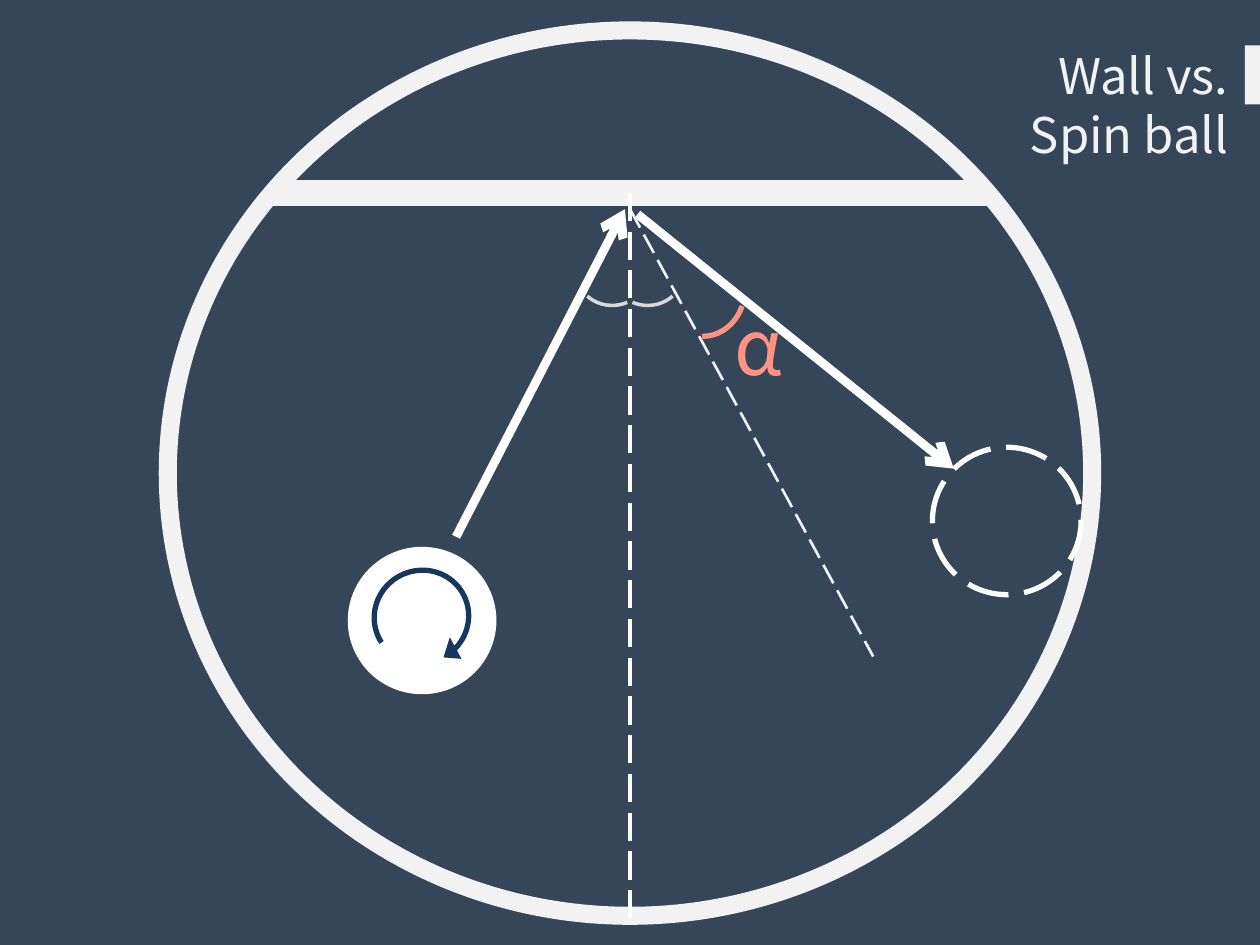
from dataclasses import dataclass

from lxml.etree import SubElement
from pptx import Presentation
from pptx.dml.color import RGBColor
from pptx.enum.dml import MSO_LINE
from pptx.enum.shapes import MSO_CONNECTOR, MSO_SHAPE
from pptx.enum.text import MSO_ANCHOR, MSO_AUTO_SIZE, PP_ALIGN
from pptx.oxml.ns import qn
from pptx.util import Inches, Pt

FONT = "Noto Sans CJK KR"
NAVY = "364659"
SPIN_BLUE = "17375E"
WHITE = "FFFFFF"
PALE = "F2F2F2"
GRAY = "D9D9D9"
CORAL = "FF9381"
BALL_SIZE = (1.18, 1.17)


@dataclass
class Figure:
    preset: MSO_SHAPE
    position: tuple
    size: tuple
    fill: str = ""
    line: str = ""
    width: float = 0
    dashed: bool = False
    rotation: float = 0
    flips: tuple = ()
    adjustments: tuple = ()


@dataclass
class Stroke:
    start: tuple
    end: tuple
    color: str
    width: float
    dashed: bool = False
    arrow: bool = False


def rgb(color: str) -> RGBColor:
    return RGBColor.from_string(color)


def style_line(line, color: str, width: float, dashed: bool) -> None:
    line.color.rgb = rgb(color)
    line.width = Pt(width)
    if dashed:
        line.dash_style = MSO_LINE.LONG_DASH


def draw_figure(page, figure: Figure) -> None:
    bounds = [Inches(length) for length in figure.position + figure.size]
    shape = page.shapes.add_shape(figure.preset, *bounds)
    shape.shadow.inherit = False
    shape.rotation = figure.rotation
    for flip in figure.flips:
        shape.element.spPr.xfrm.set(flip, "1")
    for index, value in enumerate(figure.adjustments):
        shape.adjustments[index] = value
    if figure.fill:
        shape.fill.solid()
        shape.fill.fore_color.rgb = rgb(figure.fill)
    else:
        shape.fill.background()
    if figure.line:
        style_line(shape.line, figure.line, figure.width, figure.dashed)
    else:
        shape.line.fill.background()


def draw_stroke(page, stroke: Stroke) -> None:
    ends = [Inches(length) for length in stroke.start + stroke.end]
    connector = page.shapes.add_connector(MSO_CONNECTOR.STRAIGHT, *ends)
    style_line(connector.line, stroke.color, stroke.width, stroke.dashed)
    properties = connector.element.spPr
    if stroke.arrow:
        SubElement(properties.find(qn("a:ln")), qn("a:tailEnd"), type="arrow")
    SubElement(properties, qn("a:effectLst"))


def write_text(box, text: str, size: float, color: str, alignment: PP_ALIGN) -> None:
    frame = box.text_frame
    frame.text = text
    frame.word_wrap = False
    frame.auto_size = MSO_AUTO_SIZE.SHAPE_TO_FIT_TEXT
    frame.vertical_anchor = MSO_ANCHOR.TOP
    for para in frame.paragraphs:
        para.alignment = alignment
        for span in para.runs:
            span.font.name = FONT
            span.font.size = Pt(size)
            span.font.color.rgb = rgb(color)


def equal_angle_arc(left: float, rotation: float, flips: tuple) -> Figure:
    return Figure(MSO_SHAPE.ARC, (left, 1.85), (0.61, 0.57), line=GRAY, width=2,
                  rotation=rotation, flips=flips, adjustments=(165.71, 205.4))


FIGURES_AND_STROKES = [
    Stroke((5, 1.66), (6.93, 5.21), PALE, 1.5, dashed=True),
    equal_angle_arc(4.57, 332.3, ("flipH", "flipV")),
    equal_angle_arc(4.82, 27.7, ("flipV",)),
    Figure(MSO_SHAPE.DONUT, (1.26, 0.17), (7.48, 7.17), fill=PALE, adjustments=(0.02,)),
    Stroke((2.17, 1.53), (7.83, 1.53), PALE, 15),
    Stroke((5, 1.53), (5, 7.33), WHITE, 2, dashed=True),
    Stroke((3.62, 4.26), (4.96, 1.66), WHITE, 5, arrow=True),
    Stroke((5.06, 1.7), (7.57, 3.72), WHITE, 5, arrow=True),
    Figure(MSO_SHAPE.OVAL, (2.76, 4.34), BALL_SIZE, fill=WHITE),
    Figure(MSO_SHAPE.OVAL, (7.4, 3.55), BALL_SIZE, line=WHITE, width=3, dashed=True),
    Figure(MSO_SHAPE.CIRCULAR_ARROW, (2.88, 4.42), (0.93, 0.95), fill=SPIN_BLUE,
           rotation=61.5, adjustments=(0.045, 11.42, 204.58, 51.39, 0.105)),
    Figure(MSO_SHAPE.RECTANGLE, (9.88, 0.36), (0.12, 0.47), fill=PALE),
]


def main() -> None:
    deck = Presentation()
    deck.slide_width, deck.slide_height = Inches(10), Inches(7.5)
    page = deck.slides.add_slide(deck.slide_layouts[5])
    page.background.fill.solid()
    page.background.fill.fore_color.rgb = rgb(NAVY)

    title = page.shapes.title
    title.left, title.top = Inches(8.01), Inches(0.31)
    title.width, title.height = Inches(1.84), Inches(1.04)
    write_text(title, "Wall vs.\nSpin ball", 28, PALE, PP_ALIGN.RIGHT)

    draw_figure(page, Figure(MSO_SHAPE.ARC, (5.28, 1.96), (0.63, 0.71), line=CORAL,
                             width=3, rotation=9.6, flips=("flipV",),
                             adjustments=(165.71, 209.13)))
    alpha = page.shapes.add_textbox(Inches(5.73), Inches(2.32), Inches(0.82), Inches(0.84))
    write_text(alpha, "α", 44, CORAL, PP_ALIGN.LEFT)

    for item in FIGURES_AND_STROKES:
        if isinstance(item, Stroke):
            draw_stroke(page, item)
        else:
            draw_figure(page, item)

    deck.save("out.pptx")


if __name__ == "__main__":
    main()
